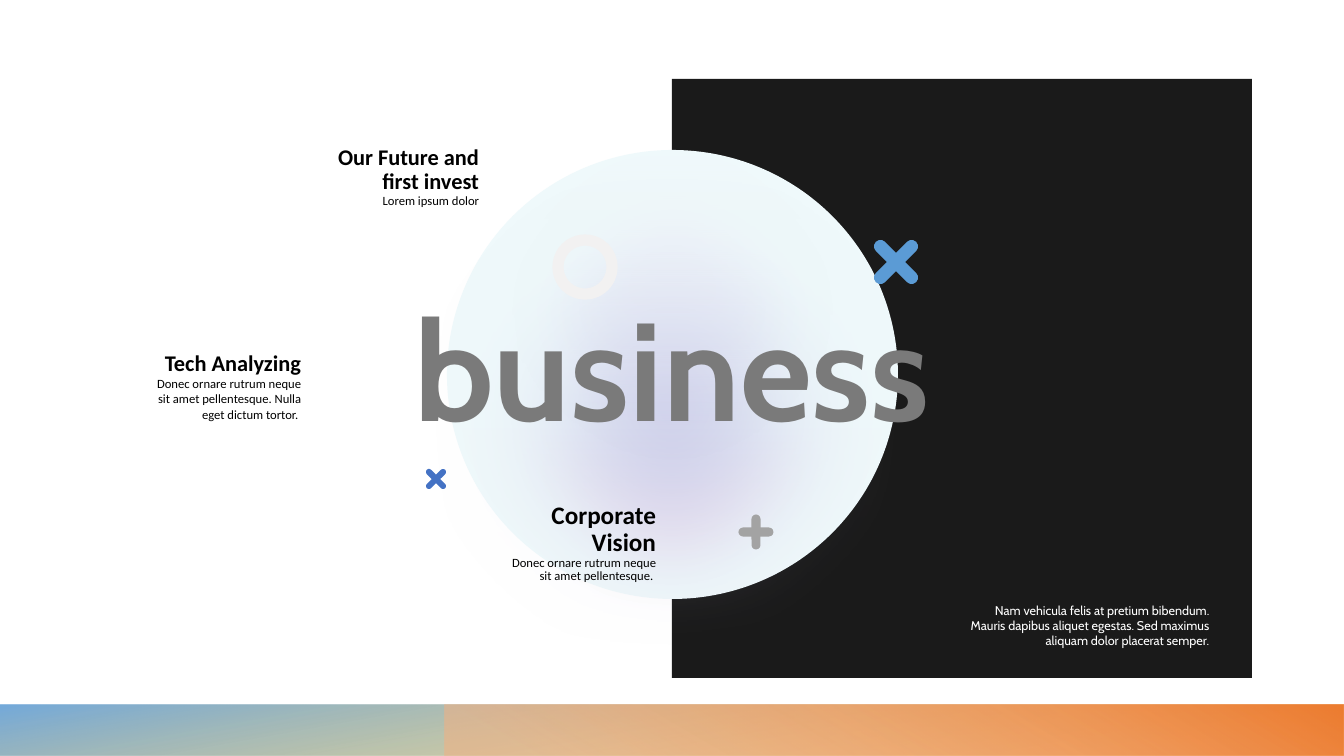
from dataclasses import dataclass
from typing import NamedTuple, Optional

from lxml import etree
from pptx import Presentation
from pptx.dml.color import RGBColor
from pptx.enum.shapes import MSO_SHAPE as Preset
from pptx.enum.text import MSO_ANCHOR as Anchor, MSO_AUTO_SIZE as AutoSize, PP_ALIGN as Align
from pptx.oxml import parse_xml
from pptx.oxml.ns import nsdecls, qn
from pptx.util import Emu, Pt

SLIDE_W, SLIDE_H = 1344, 756
EMU_PER_PX = 12192000 / SLIDE_W


@dataclass(frozen=True)
class Theme:
    heading_font: str = "Calibri"
    accent_font: str = "Cabin"
    black: str = "000000"
    white: str = "FFFFFF"
    panel: str = "1A1A1A"
    ice: str = "EFF9FB"
    pink: str = "FBDBEA"
    lavender: str = "B0A9DB"
    word: str = "7A7A7A"
    ring: str = "F2F1F1"
    gold: str = "CF9B00"
    sky: str = "5B9BD5"
    blue: str = "4472C4"
    grey: str = "A3A3A3"
    peach: str = "F4B183"
    orange: str = "ED7D31"
    body_size: float = 9
    word_size: float = 99.5
    ring_width: float = 8


THEME = Theme()


class Box(NamedTuple):
    left: int
    top: int
    width: int
    height: int


class Stop(NamedTuple):
    position: int
    color: str
    opacity: int = 100


class Band(NamedTuple):
    box: Box
    angle: int
    stops: list[Stop]


class Glow(NamedTuple):
    box: Box
    stops: list[Stop]
    softness: int


class Cross(NamedTuple):
    center_x: int
    center_y: int
    length: int
    thickness: int
    tilt: int
    color: str


class Line(NamedTuple):
    text: str
    size: float
    font: str
    color: str
    bold: bool = False


class Caption(NamedTuple):
    box: Box
    lines: list[Line]
    align: Align = Align.RIGHT
    anchor: Anchor = Anchor.MIDDLE
    spacing: Optional[float] = None


def px(length: float) -> Emu:
    return Emu(round(length * EMU_PER_PX))


def add_plain(page, preset: Preset, box: Box, color: Optional[str] = None):
    shape = page.shapes.add_shape(preset, *map(px, box))
    shape.shadow.inherit = False
    shape.line.fill.background()
    if color:
        shape.fill.solid()
        shape.fill.fore_color.rgb = RGBColor.from_string(color)
    else:
        shape.fill.background()
    return shape


def set_gradient(shape, stops: list[Stop], angle: int) -> None:
    marks = "".join(
        f'<a:gs pos="{stop.position * 1000}"><a:srgbClr val="{stop.color}">'
        f'<a:alpha val="{stop.opacity * 1000}"/></a:srgbClr></a:gs>'
        for stop in stops
    )
    gradient = parse_xml(
        f'<a:gradFill {nsdecls("a")} rotWithShape="1"><a:gsLst>{marks}</a:gsLst>'
        f'<a:lin ang="{angle * 60000}" scaled="0"/></a:gradFill>'
    )
    properties = shape.element.spPr
    properties.replace(properties.find(qn("a:noFill")), gradient)


def add_band(page, band: Band) -> None:
    set_gradient(add_plain(page, Preset.RECTANGLE, band.box), band.stops, band.angle)


def add_glow(page, glow: Glow) -> None:
    shape = add_plain(page, Preset.OVAL, glow.box)
    set_gradient(shape, glow.stops, 270)
    effects = shape.element.spPr.find(qn("a:effectLst"))
    etree.SubElement(effects, qn("a:softEdge"), rad=str(px(glow.softness)))


def add_cross(page, cross: Cross) -> None:
    for turn in (cross.tilt, cross.tilt + 90):
        box = Box(cross.center_x - cross.length / 2, cross.center_y - cross.thickness / 2,
                  cross.length, cross.thickness)
        arm = add_plain(page, Preset.ROUNDED_RECTANGLE, box, cross.color)
        arm.adjustments[0] = 0.5
        arm.rotation = turn


def add_caption(page, caption: Caption) -> None:
    frame = page.shapes.add_textbox(*map(px, caption.box)).text_frame
    frame.word_wrap = True
    frame.auto_size = AutoSize.SHAPE_TO_FIT_TEXT
    frame.vertical_anchor = caption.anchor
    for index, line in enumerate(caption.lines):
        para = frame.add_paragraph() if index else frame.paragraphs[0]
        para.text = line.text
        para.alignment = caption.align
        para.line_spacing = caption.spacing
        para.font.name = line.font
        para.font.size = Pt(line.size)
        para.font.bold = line.bold
        para.font.color.rgb = RGBColor.from_string(line.color)


def topic(title: str, size: float, body: str) -> list[Line]:
    return [Line(title, size, THEME.heading_font, THEME.black, True),
            Line(body, THEME.body_size, THEME.heading_font, THEME.black)]


BANDS = [
    Band(Box(0, 705, 1344, 51), 260, [Stop(14, THEME.gold, 28), Stop(100, THEME.sky, 85)]),
    Band(Box(445, 705, 899, 51), 300, [Stop(9, THEME.peach, 55), Stop(99, THEME.orange)]),
]
GLOWS = [
    Glow(Box(440, 161, 465, 462), [Stop(0, THEME.pink), Stop(43, THEME.ice)], 70),
    Glow(Box(393, 135, 558, 554), [Stop(0, THEME.lavender), Stop(100, THEME.ice)], 128),
    Glow(Box(484, 129, 377, 375), [Stop(0, THEME.lavender, 0), Stop(100, THEME.white, 66)], 70),
]
CROSSES = [
    Cross(436, 479, 26, 6, 45, THEME.blue),
    Cross(756, 532, 35, 9, 0, THEME.grey),
    Cross(896, 262, 57, 13, 45, THEME.sky),
]
CAPTIONS = [
    Caption(Box(324, 141, 165, 73),
            topic("Our Future and first invest", 16, "Lorem ipsum dolor"), spacing=0.89),
    Caption(Box(261, 276, 822, 179),
            [Line("business", THEME.word_size, THEME.accent_font, THEME.word, True)], Align.CENTER),
    Caption(Box(954, 598, 265, 56),
            [Line("Nam vehicula felis at pretium bibendum. Mauris dapibus aliquet egestas. "
                  "Sed maximus aliquam dolor placerat semper.",
                  THEME.body_size, THEME.accent_font, THEME.white)], anchor=Anchor.TOP),
    Caption(Box(501, 497, 165, 92),
            topic("Corporate Vision", 18, "Donec ornare rutrum neque sit amet pellentesque. "),
            spacing=0.89),
    Caption(Box(146, 344, 165, 83),
            topic("Tech Analyzing", 16,
                  "Donec ornare rutrum neque sit amet pellentesque. Nulla eget dictum tortor. ")),
]


def main() -> None:
    deck = Presentation()
    deck.slide_width, deck.slide_height = px(SLIDE_W), px(SLIDE_H)
    page = deck.slides.add_slide(deck.slide_layouts[6])

    # Footer bands and dark panel
    for band in BANDS:
        add_band(page, band)
    add_plain(page, Preset.RECTANGLE, Box(672, 79, 580, 599), THEME.panel)

    # Glowing disc
    add_plain(page, Preset.OVAL, Box(447, 150, 451, 449), THEME.ice)
    for glow in GLOWS:
        add_glow(page, glow)

    # Ring and crosses
    ring = add_plain(page, Preset.OVAL, Box(558, 240, 54, 54))
    ring.line.color.rgb = RGBColor.from_string(THEME.ring)
    ring.line.width = Pt(THEME.ring_width)
    for cross in CROSSES:
        add_cross(page, cross)

    # Words
    for caption in CAPTIONS:
        add_caption(page, caption)

    deck.save("out.pptx")


if __name__ == "__main__":
    main()
